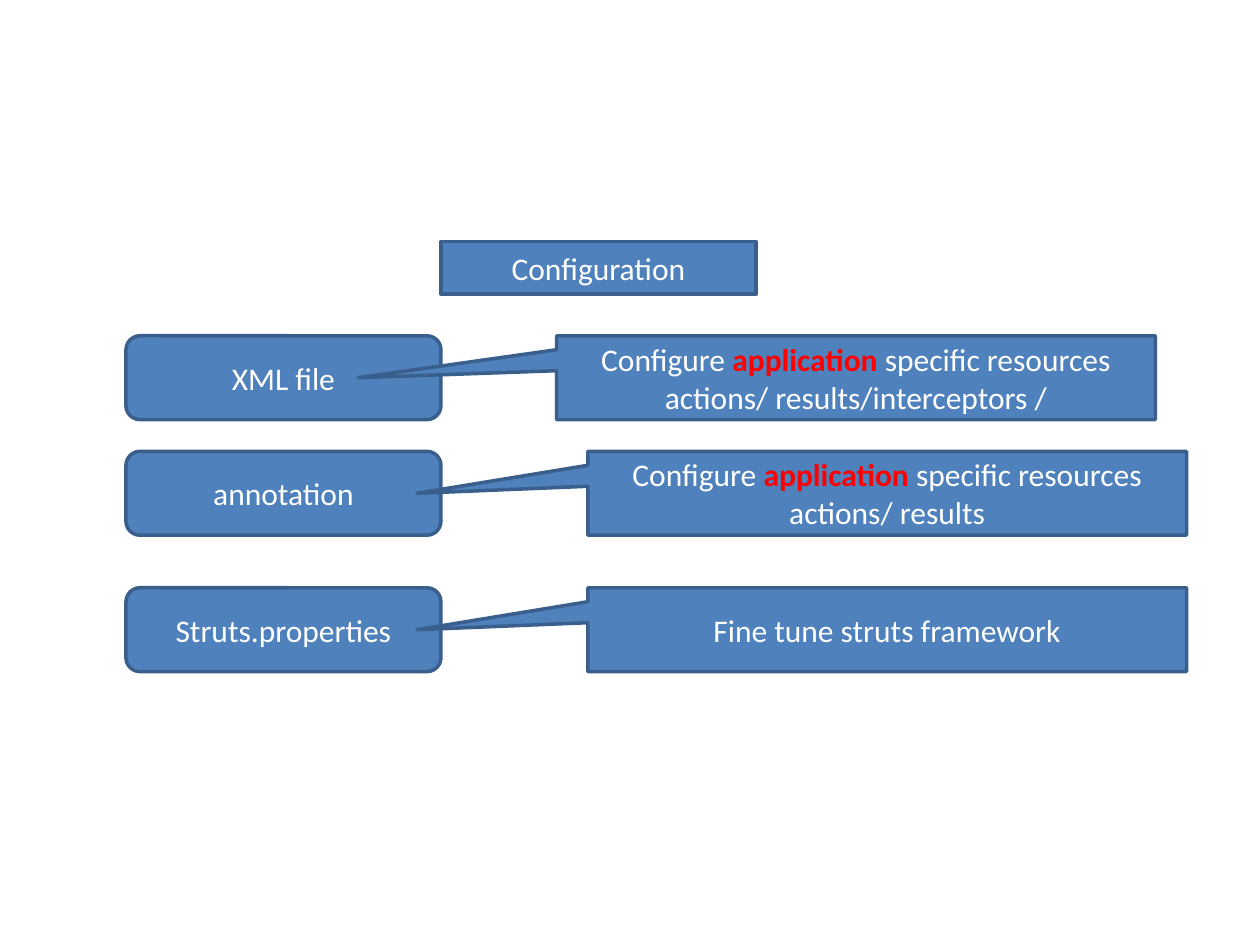
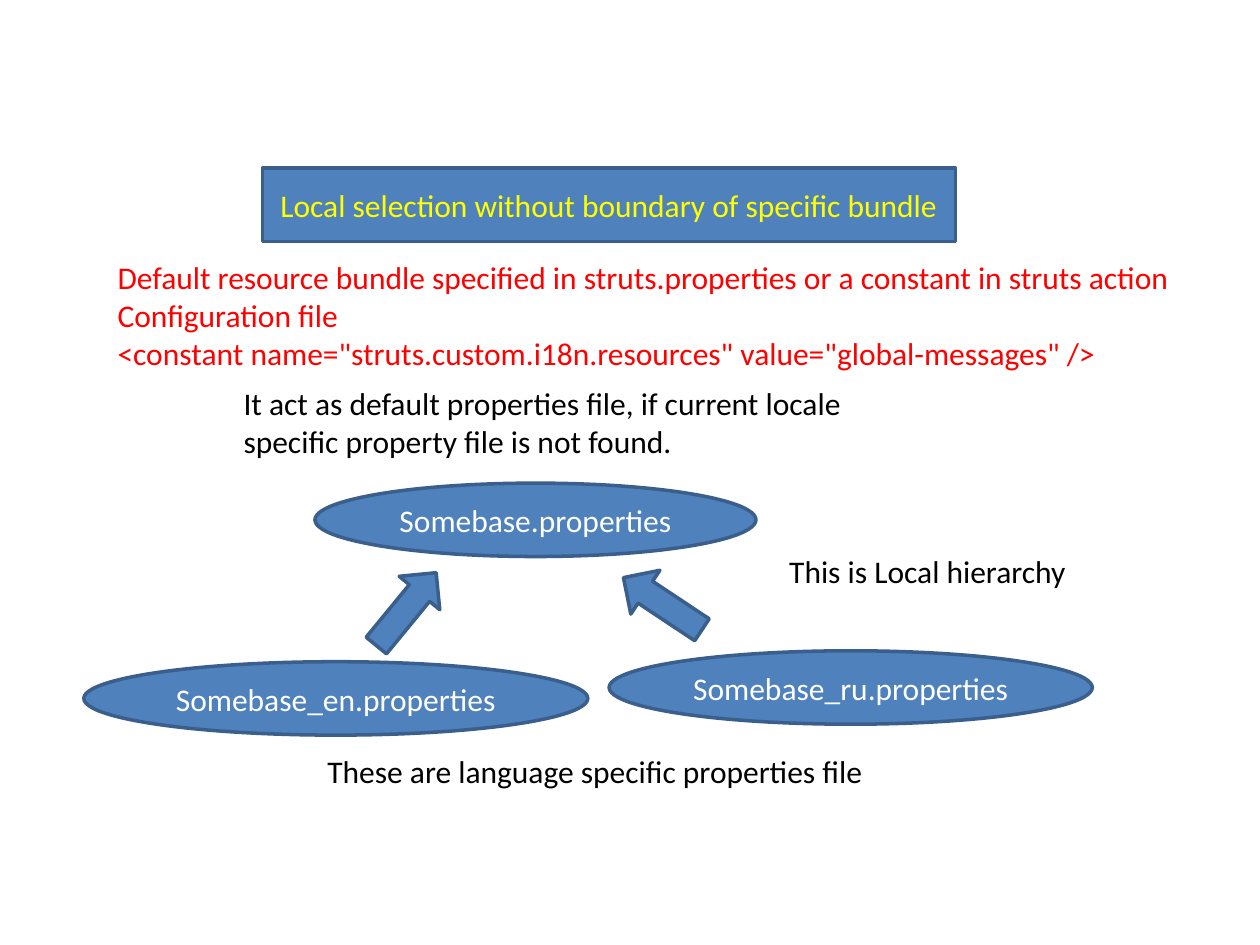
from pptx import Presentation
from pptx.dml.color import RGBColor
from pptx.enum.shapes import MSO_SHAPE
from pptx.enum.text import MSO_ANCHOR, MSO_AUTO_SIZE, PP_ALIGN
from pptx.util import Cm, Pt

RECTANGLE_CALLOUT = MSO_SHAPE.RECTANGULAR_CALLOUT
ROUNDED = MSO_SHAPE.ROUNDED_RECTANGLE
OVAL = MSO_SHAPE.OVAL
UP_ARROW = MSO_SHAPE.UP_ARROW
MIDDLE = MSO_ANCHOR.MIDDLE
CENTER = PP_ALIGN.CENTER
NO_AUTOFIT = MSO_AUTO_SIZE.NONE
TITLE_ONLY = 5

BLUE = RGBColor(0x4F, 0x81, 0xBD)
DARK_BLUE = RGBColor(0x3A, 0x5F, 0x8C)
WHITE = RGBColor(0xFF, 0xFF, 0xFF)
BLACK = RGBColor(0, 0, 0)
RED = RGBColor(0xFF, 0, 0)
YELLOW = RGBColor(0xFF, 0xFF, 0)
FONT = "Calibri"
FONT_SIZE = Pt(18)

# All places and sizes below are in centimetres: left, top, width, height.
CONFIGURATION_TITLE = ("Configuration", (8.89, 4.87, 6.35, 1.06), WHITE)
EMPHASIS = "application"
SOURCE_LEFT, SOURCE_WIDTH = 2.54, 6.35
CALLOUT_WIDTH, ROW_HEIGHT = 12.07, 1.69
# Source, row top, callout left, x of the callout's tip, callout text
CONFIGURATION_ROWS = [
    ("XML file", 6.77, 11.22, 7.22,
     "Configure application specific resources actions/ results/interceptors /"),
    ("annotation", 9.1, 11.85, 8.41,
     "Configure application specific resources actions/ results"),
    ("Struts.properties", 11.85, 11.85, 8.41, "Fine tune struts framework"),
]

LOCALE_TITLE = ("Local selection without boundary of specific bundle",
                (5.29, 3.39, 13.97, 1.48), YELLOW)
BUNDLE_HEIGHT = 1.48
BUNDLES = [
    ("Somebase.properties", 6.35, 9.74, 8.89),
    ("Somebase_en.properties", 1.69, 13.34, 10.16),
    ("Somebase_ru.properties", 12.28, 13.12, 9.74),
]
ARROW_SIZE = (1.06, 1.9)
ARROWS = [(7.66, 11.33, 39.4), (12.83, 11.22, 303.6)]
# Text, place, colour, whether the text wraps
NOTES = [
    ("These are language specific properties file", (6.35, 15.03, 11.46, 1.03), BLACK, False),
    ("It act as default properties file, if current locale specific property "
     "file is not found.", (4.66, 7.62, 13.97, 1.8), BLACK, True),
    ("This is Local hierarchy", (15.66, 11.01, 6.15, 1.03), BLACK, False),
    ("Default resource bundle specified in struts.properties or a constant in struts action\n"
     "Configuration file\n"
     '<constant name="struts.custom.i18n.resources" value="global-messages" />',
     (2.12, 5.08, 22.25, 2.57), RED, False),
]


def lengths(place):
    return [Cm(value) for value in place]


def style_run(run, color, bold=False):
    run.font.name = FONT
    run.font.size = FONT_SIZE
    run.font.color.rgb = color
    run.font.bold = bold


def style_text(text_frame, color):
    for paragraph in text_frame.paragraphs:
        for run in paragraph.runs:
            style_run(run, color)


def style_box(shape):
    shape.fill.solid()
    shape.fill.fore_color.rgb = BLUE
    shape.line.color.rgb = DARK_BLUE
    shape.line.width = Pt(2)
    text_frame = shape.text_frame
    text_frame.word_wrap = True
    text_frame.vertical_anchor = MIDDLE
    text_frame.paragraphs[0].alignment = CENTER


def add_box(slide, kind, place, text=""):
    shape = slide.shapes.add_shape(kind, *lengths(place))
    shape.shadow.inherit = False
    shape.text_frame.text = text
    style_box(shape)
    style_text(shape.text_frame, WHITE)
    return shape


def add_titled_slide(presentation, text, place, color):
    slide = presentation.slides.add_slide(presentation.slide_layouts[TITLE_ONLY])
    title = slide.shapes.title
    title.left, title.top, title.width, title.height = lengths(place)
    title.text_frame.text = text
    title.text_frame.auto_size = NO_AUTOFIT
    style_box(title)
    style_text(title.text_frame, color)
    return slide


def emphasize(paragraph):
    """Split the paragraph's only run so that the emphasised word is red and bold."""
    before, word, after = paragraph.text.partition(EMPHASIS)
    if word:
        paragraph.runs[0].text = before
        for text, color, bold in ((word, RED, True), (after, WHITE, False)):
            run = paragraph.add_run()
            run.text = text
            style_run(run, color, bold)


def add_note(slide, text, place, color, wraps):
    text_frame = slide.shapes.add_textbox(*lengths(place)).text_frame
    text_frame.word_wrap = wraps
    text_frame.text = text
    style_text(text_frame, color)


def build_configuration(presentation):
    slide = add_titled_slide(presentation, *CONFIGURATION_TITLE)
    for source, top, *_ in CONFIGURATION_ROWS:
        add_box(slide, ROUNDED, (SOURCE_LEFT, top, SOURCE_WIDTH, ROW_HEIGHT), source)
    for _, top, left, tip, text in CONFIGURATION_ROWS:
        callout = add_box(slide, RECTANGLE_CALLOUT,
                          (left, top, CALLOUT_WIDTH, ROW_HEIGHT), text)
        # The tip is measured from the callout's centre, as a share of its size.
        callout.adjustments[0] = (tip - left) / CALLOUT_WIDTH - 0.5
        callout.adjustments[1] = 0
        emphasize(callout.text_frame.paragraphs[0])


def build_locale_selection(presentation):
    slide = add_titled_slide(presentation, *LOCALE_TITLE)
    for name, left, top, width in BUNDLES:
        add_box(slide, OVAL, (left, top, width, BUNDLE_HEIGHT), name)
    for left, top, rotation in ARROWS:
        add_box(slide, UP_ARROW, (left, top, *ARROW_SIZE)).rotation = rotation
    for note in NOTES:
        add_note(slide, *note)


def main():
    presentation = Presentation()
    presentation.slide_width, presentation.slide_height = Cm(25.4), Cm(19.05)
    build_configuration(presentation)
    build_locale_selection(presentation)
    presentation.save("out.pptx")


if __name__ == "__main__":
    main()
